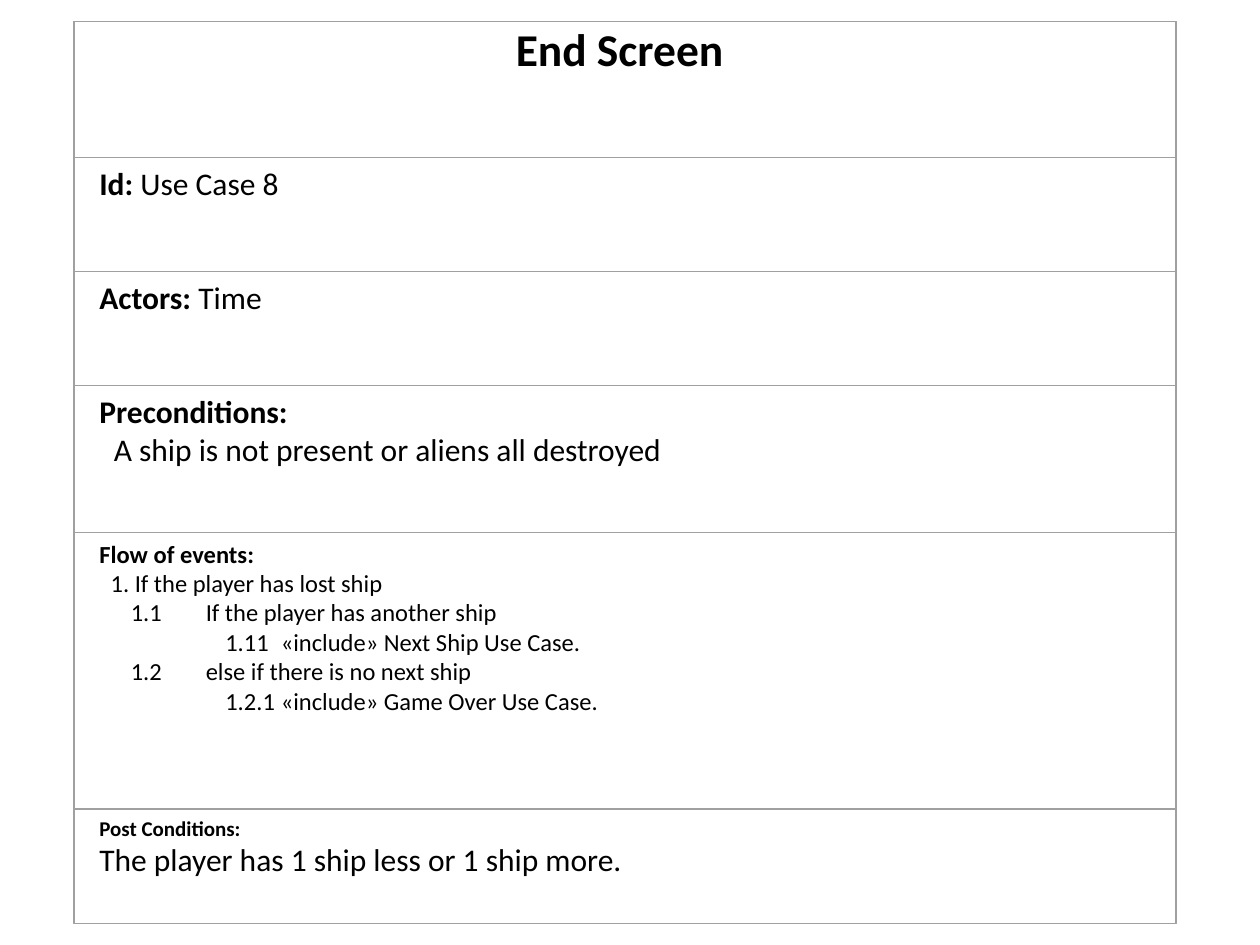
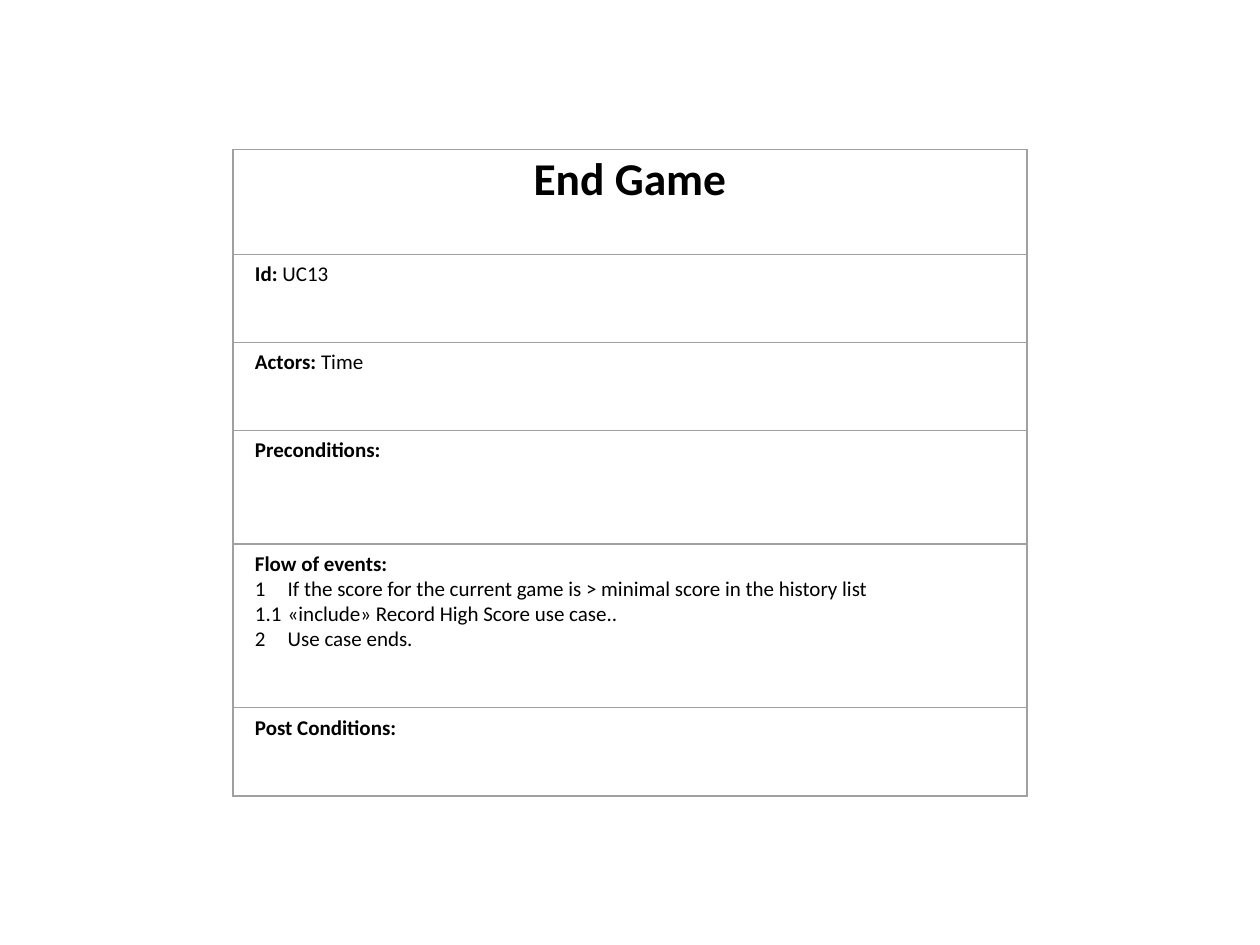
from dataclasses import dataclass

from lxml.etree import SubElement
from pptx import Presentation
from pptx.dml.color import RGBColor
from pptx.enum.shapes import MSO_SHAPE
from pptx.enum.text import PP_ALIGN
from pptx.oxml.ns import qn
from pptx.util import Inches, Pt


@dataclass(frozen=True)
class Theme:
    font: str = "Calibri"
    ink: RGBColor = RGBColor(0, 0, 0)
    rule: RGBColor = RGBColor(0xA0, 0xA0, 0xA0)
    title: int = 26
    large: int = 18
    medium: int = 14
    small: int = 12
    hairline: float = 0
    border: float = 0.5


THEME = Theme()
COLUMNS, ROWS = 100, 75  # grid of the slide


def unit(count):
    """Length of a number of grid columns or rows."""
    return Inches(count / 10)


@dataclass
class Line:
    """One line of a section: bold label, plain text, indent and tab stops."""
    label: str = ""
    text: str = ""
    size: int = THEME.small
    start: float = 0
    stops: tuple = ()


@dataclass
class Card:
    left: float
    top: float
    width: float
    pad: float
    heights: list
    bleed_x: float = 0.05  # how far the outer border stands off the rows
    bleed_y: float = 0


def add_frame(slide, left, top, width, height, weight):
    frame = slide.shapes.add_shape(
        MSO_SHAPE.RECTANGLE, *map(unit, (left, top, width, height)))
    frame.shadow.inherit = False
    frame.fill.background()
    frame.line.color.rgb = THEME.rule
    frame.line.width = Pt(weight)


def add_text(paragraph, text, size, bold=False):
    run = paragraph.add_run()
    run.text = text
    run.font.name = THEME.font
    run.font.size = Pt(size)
    run.font.bold = bold
    run.font.color.rgb = THEME.ink


def set_stops(paragraph, start, stops):
    """Indent a line or give it tab stops, in grid columns."""
    properties = paragraph._p.get_or_add_pPr()
    if start:
        properties.set("marL", str(unit(start)))
        properties.set("indent", "0")
    if stops:
        tabs = SubElement(properties, qn("a:tabLst"))
        for stop in stops:
            SubElement(tabs, qn("a:tab"), pos=str(unit(stop)), algn="l")


def add_box(slide, left, top, width, height):
    box = slide.shapes.add_textbox(*map(unit, (left, top, width, height)))
    box.text_frame.word_wrap = True
    return box.text_frame


def fill_title(body, title):
    body.margin_left = body.margin_right = body.margin_top = body.margin_bottom = 0
    heading = body.paragraphs[0]
    heading.alignment = PP_ALIGN.CENTER
    add_text(heading, title, THEME.title, bold=True)


def fill_section(body, lines):
    for index, line in enumerate(lines):
        paragraph = body.add_paragraph() if index else body.paragraphs[0]
        set_stops(paragraph, line.start, line.stops)
        if line.label:
            add_text(paragraph, line.label, line.size, bold=True)
        if line.text:
            add_text(paragraph, line.text, line.size)


def add_use_case(deck, card, title, sections):
    """A framed card: title row, then one row for each section."""
    slide = deck.slides.add_slide(deck.slide_layouts[6])
    top = card.top
    for height, content in zip(card.heights, [title, *sections]):
        body = add_box(slide, card.left + card.pad, top,
                       card.width - 2 * card.pad, height)
        if content is title:
            fill_title(body, content)
        else:
            fill_section(body, content)
        add_frame(slide, card.left, top, card.width, height, THEME.hairline)
        top += height
    add_frame(slide, card.left - card.bleed_x, card.top - card.bleed_y,
              card.width + 2 * card.bleed_x,
              top - card.top + 2 * card.bleed_y, THEME.border)


def end_screen_sections():
    large, medium = THEME.large, THEME.medium
    step = {"size": medium, "stops": (2.5, 8.45)}
    substep = {"size": medium, "stops": (10, 14.4)}
    return [
        [Line("Id:", " Use Case 8", large)],
        [Line("Actors: ", "Time", large)],
        [Line("Preconditions:", size=large),
         Line(text="A ship is not present or aliens all destroyed",
              size=large, start=1.15)],
        [Line("Flow of events:", size=medium),
         Line(text="1. If the player has lost ship", size=medium, start=0.9),
         Line(text="\t1.1\tIf the player has another ship", **step),
         Line(text="\t1.11\t«include» Next Ship Use Case.", **substep),
         Line(text="\t1.2\telse if there is no next ship", **step),
         Line(text="\t1.2.1\t«include» Game Over Use Case.", **substep)],
        [Line("Post Conditions:"),
         Line(text="The player has 1 ship less or 1 ship more.", size=large)],
    ]


def end_game_sections():
    steps = [
        "1\tIf the score for the current game is > minimal score in the history list",
        "1.1\t«include» Record High Score use case..",
        "2\tUse case ends.",
    ]
    return [
        [Line("Id:", " UC13")],
        [Line("Actors: ", "Time")],
        [Line("Preconditions:")],
        [Line("Flow of events:"),
         *(Line(text=step, stops=(2.6,)) for step in steps)],
        [Line("Post Conditions:")],
    ]


def main():
    deck = Presentation()
    deck.slide_width, deck.slide_height = unit(COLUMNS), unit(ROWS)

    # End of a round
    add_use_case(deck, Card(5.9, 1.7, 87.4, 1, [10.8, 9.05, 9.05, 11.65, 21.95, 9.1]),
                 "End Screen ", end_screen_sections())

    # End of the game
    add_use_case(deck, Card(18.5, 11.88, 63, 0.75, [8.3, 7, 7, 9, 13, 7], bleed_y=0.05),
                 "End Game", end_game_sections())

    deck.save("out.pptx")


if __name__ == "__main__":
    main()
